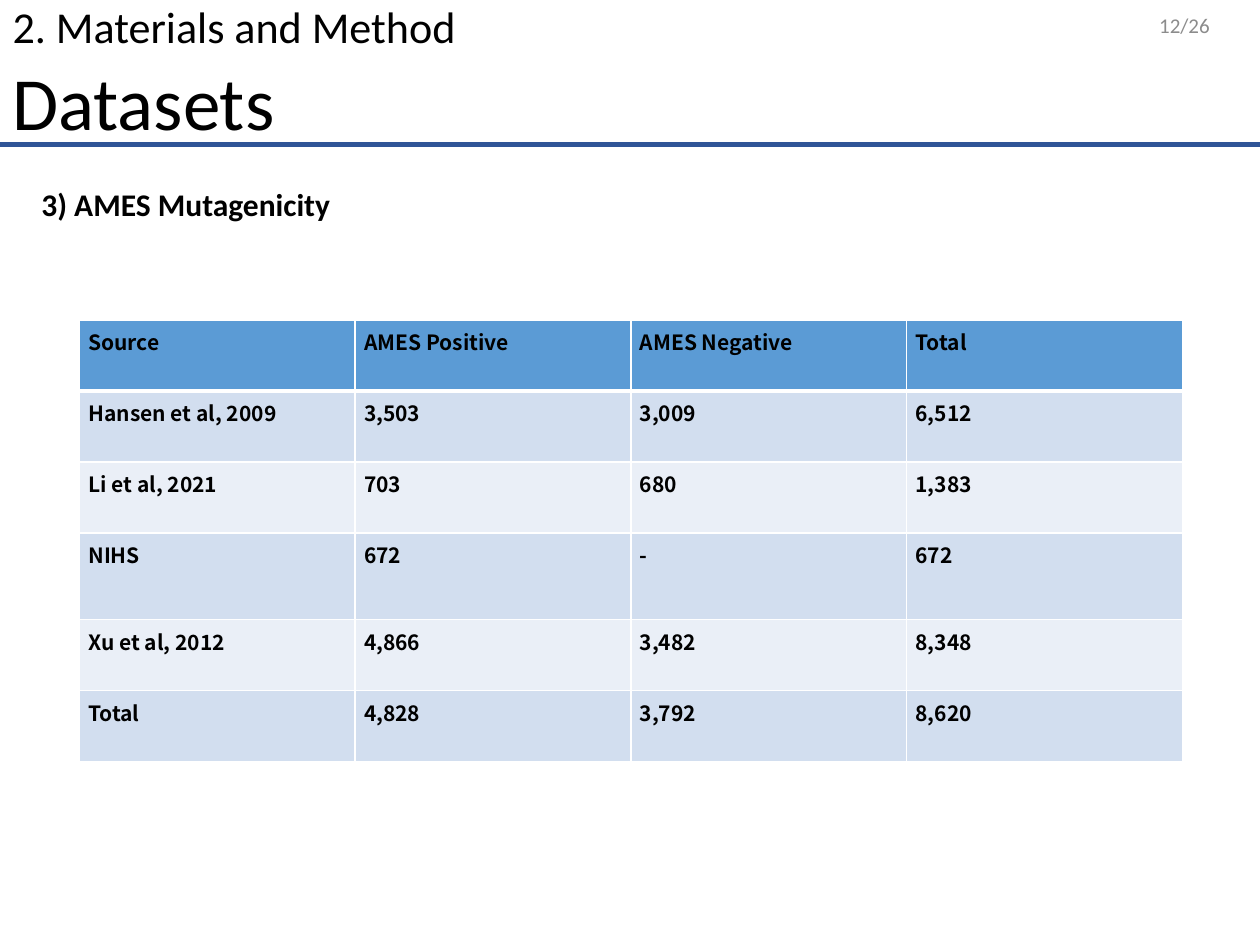
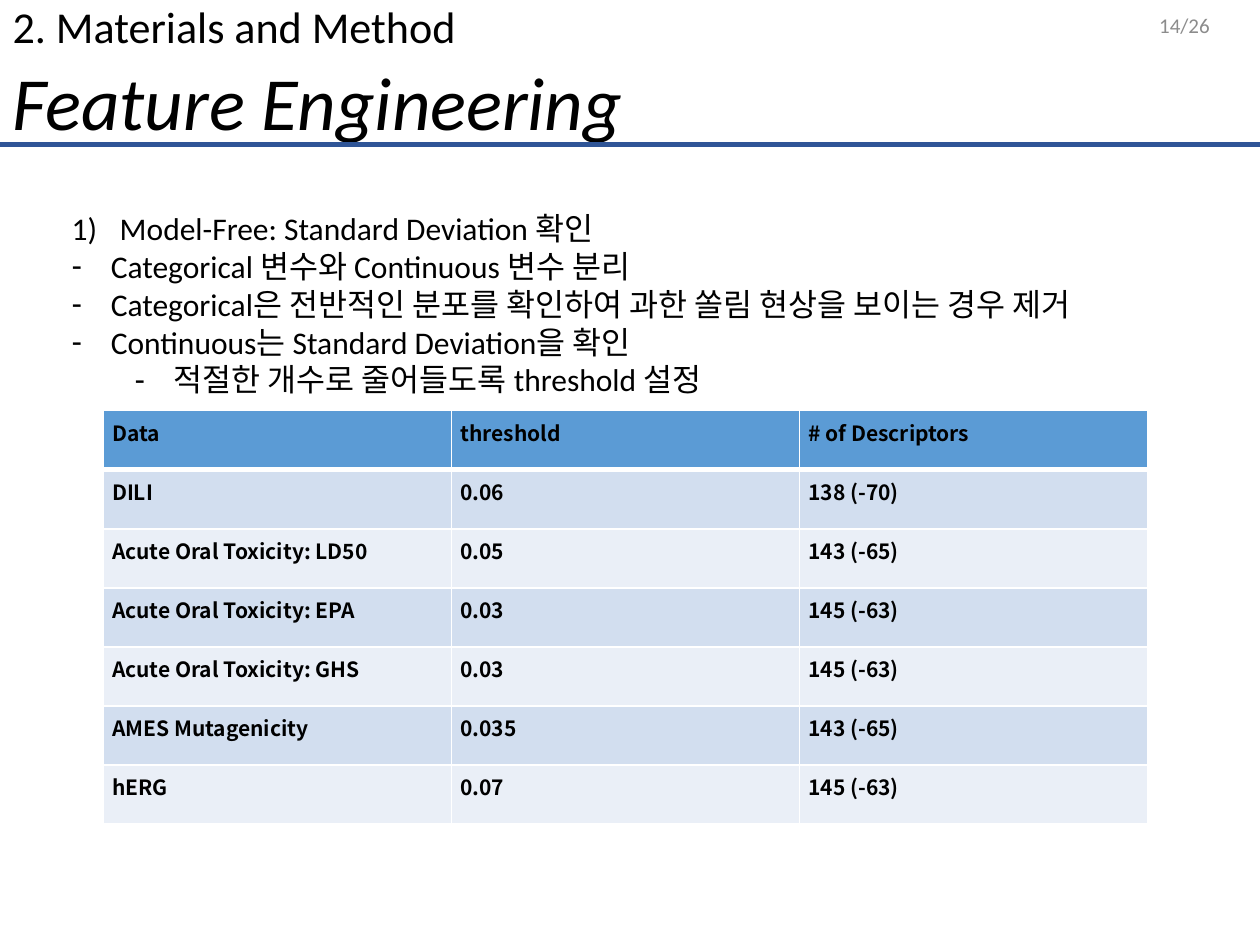
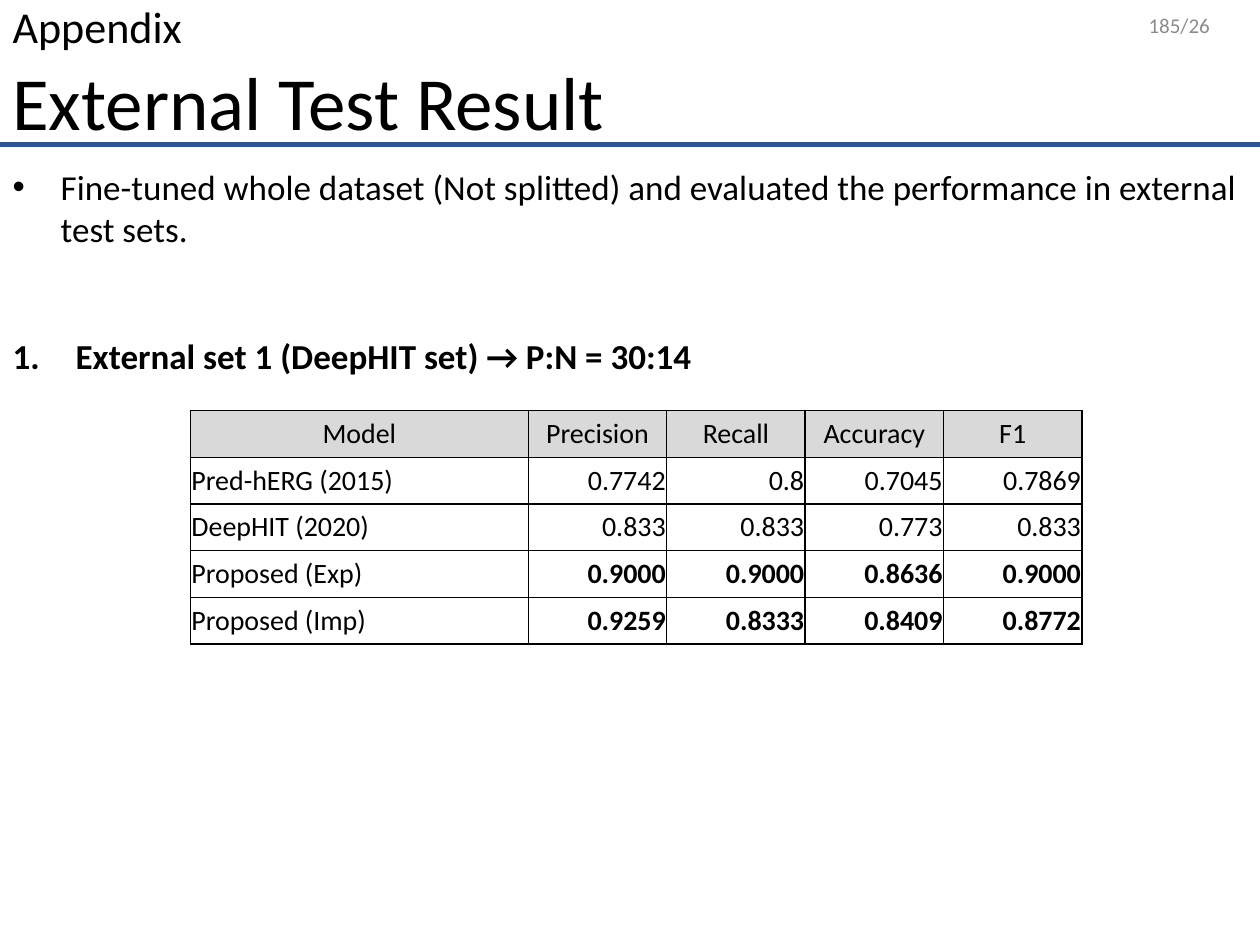
"""Build three slides on toxicity datasets, feature selection and external tests."""
from lxml import etree
from pptx import Presentation
from pptx import util as u
from pptx.dml.color import RGBColor
from pptx.enum import shapes, text
from pptx.oxml.ns import qn

LATIN, CJK = "Calibri", "Noto Sans CJK KR"
BLACK, GREY, NAVY, WHITE = "000000", "8C8C8C", "2F5597", "FFFFFF"
LEFT, CENTER, RIGHT = text.PP_ALIGN.LEFT, text.PP_ALIGN.CENTER, text.PP_ALIGN.RIGHT
TOP, MIDDLE = text.MSO_ANCHOR.TOP, text.MSO_ANCHOR.MIDDLE
WIDTH, HEIGHT = 25.4, 19.05
RULE_Y = 2.92

BULLETS = {
    "none": ("a:buNone", {}),
    "1)": ("a:buAutoNum", {"type": "arabicParenR"}),
    "1.": ("a:buAutoNum", {"type": "arabicPeriod"}),
    "-": ("a:buChar", {"char": "-"}),
    "•": ("a:buChar", {"char": "•"}),
}

BLUE_STYLE = dict(
    font=CJK, size=12, bold=True, anchor=TOP, insets=(0.18, 0.13), border=WHITE,
    header_rule=3, header="5B9BD5", bands=("D2DEEF", "EAEFF7"),
    header_align=LEFT, value_align=LEFT, bold_rows=())
GRID_STYLE = dict(
    font=LATIN, size=16, bold=False, anchor=MIDDLE, insets=(0.02, 0.02), border=BLACK,
    header_rule=1, header="D9D9D9", bands=(None,),
    header_align=CENTER, value_align=RIGHT, bold_rows=(3, 4))

PAGES = [
    dict(
        section="2. Materials and Method", heading="Datasets", italic=False, number="12/26",
        body=dict(at=(0.58, 3.61, 24.05, 1.8), size=18, items=[
            dict(text="3) AMES Mutagenicity", bullet="none", bold=True)]),
        table=dict(
            at=(1.6, 6.45), columns=[5.56] * 4,
            heights=[1.43, 1.43, 1.43, 1.75, 1.43, 1.43], style=BLUE_STYLE,
            rows=[
                ("Source", "AMES Positive", "AMES Negative", "Total"),
                ("Hansen et al, 2009", "3,503", "3,009", "6,512"),
                ("Li et al, 2021", "703", "680", "1,383"),
                ("NIHS", "672", "-", "672"),
                ("Xu et al, 2012", "4,866", "3,482", "8,348"),
                ("Total", "4,828", "3,792", "8,620")])),
    dict(
        section="2. Materials and Method", heading="Feature Engineering", italic=True,
        number="14/26",
        body=dict(at=(1.19, 4.09, 22.83, 4.88), size=18, items=[
            dict(text="Model-Free: Standard Deviation 확인", bullet="1)", hang=0.97),
            dict(text="Categorical 변수와 Continuous 변수 분리", bullet="-", hang=0.79),
            dict(text="Categorical은 전반적인 분포를 확인하여 과한 쏠림 현상을 보이는 경우 제거",
                 bullet="-", hang=0.79),
            dict(text="Continuous는 Standard Deviation을 확인", bullet="-", hang=0.79),
            dict(text="적절한 개수로 줄어들도록 threshold 설정", bullet="-", hang=0.79, level=1)]),
        table=dict(
            at=(2.08, 8.28), columns=[7.02] * 3, heights=[1.19] * 7, style=BLUE_STYLE,
            rows=[
                ("Data", "threshold", "# of Descriptors"),
                ("DILI", "0.06", "138 (-70)"),
                ("Acute Oral Toxicity: LD50", "0.05", "143 (-65)"),
                ("Acute Oral Toxicity: EPA", "0.03", "145 (-63)"),
                ("Acute Oral Toxicity: GHS", "0.03", "145 (-63)"),
                ("AMES Mutagenicity", "0.035", "143 (-65)"),
                ("hERG", "0.07", "145 (-63)")])),
    dict(
        section="Appendix", heading="External Test Result", italic=False, number="185/26",
        body=dict(at=(0, 3.2, WIDTH, 11.38), size=20, items=[
            dict(text="Fine-tuned whole dataset (Not splitted) and evaluated the performance "
                      "in external test sets.", bullet="•", hang=0.97),
            dict(text="External set 1 (DeepHIT set) → P:N = 30:14", bullet="1.", hang=1.27,
                 bold=True, before=48.8)]),
        table=dict(
            at=(3.84, 8.28), columns=[6.81] + [2.79] * 4, heights=[0.94] * 5, style=GRID_STYLE,
            rows=[
                ("Model", "Precision", "Recall", "Accuracy", "F1"),
                ("Pred-hERG (2015)", "0.7742", "0.8", "0.7045", "0.7869"),
                ("DeepHIT (2020)", "0.833", "0.833", "0.773", "0.833"),
                ("Proposed (Exp)", "0.9000", "0.9000", "0.8636", "0.9000"),
                ("Proposed (Imp)", "0.9259", "0.8333", "0.8409", "0.8772")])),
]


def color(value):
    return RGBColor.from_string(value)


def place(box, at):
    box.left, box.top, box.width, box.height = map(u.Cm, at)


def format_runs(para, size, font=LATIN, fill=BLACK, bold=False, italic=False):
    for span in para.runs:
        span.font.name, span.font.size = font, u.Pt(size)
        span.font.bold, span.font.italic = bold, italic
        span.font.color.rgb = color(fill)


def write_line(box, words, at, size, align=LEFT, spacing=None, **look):
    place(box, at)
    frame = box.text_frame
    frame.text = words
    frame.word_wrap, frame.auto_size = True, text.MSO_AUTO_SIZE.NONE
    frame.vertical_anchor = MIDDLE
    para = frame.paragraphs[0]
    para.alignment, para.line_spacing = align, spacing
    format_runs(para, size, **look)


def add_header(page, section, heading, italic, number):
    write_line(page.shapes.title, section, (0, 0, 10.19, 1.17), 25.2, spacing=0.9)
    labels = [
        (heading, (0, 1.17, 20.96, 1.93), 42.9, dict(spacing=0.9, italic=italic)),
        (number, (18.92, 0, 5.72, 1.02), 12, dict(align=RIGHT, fill=GREY)),
    ]
    for words, at, size, look in labels:
        write_line(page.shapes.add_textbox(0, 0, 0, 0), words, at, size, **look)
    rule = page.shapes.add_connector(
        shapes.MSO_CONNECTOR.STRAIGHT, 0, u.Cm(RULE_Y), u.Cm(WIDTH), u.Cm(RULE_Y))
    rule.line.color.rgb, rule.line.width = color(NAVY), u.Pt(3)
    etree.SubElement(rule._element.spPr, qn("a:effectLst"))


def set_bullet(para, bullet, hang, level):
    props = para._p.get_or_add_pPr()
    props.set("marL", str(u.Cm(hang + 1.27 * level)))
    props.set("indent", str(u.Cm(-hang)))
    tag, attributes = BULLETS[bullet]
    etree.SubElement(props, qn(tag), attributes)


def fill_body(box, at, size, items):
    place(box, at)
    frame = box.text_frame
    frame.text = "\n".join(item["text"] for item in items)
    frame.word_wrap, frame.auto_size = True, text.MSO_AUTO_SIZE.NONE
    frame.vertical_anchor = TOP
    for para, item in zip(frame.paragraphs, items):
        para.level = item.get("level", 0)
        set_bullet(para, item["bullet"], item.get("hang", 0), para.level)
        para.alignment = LEFT
        para.space_before = u.Pt(item.get("before", 0))
        format_runs(para, size, bold=item.get("bold", False))


def set_borders(cell, row, style):
    props = cell._tc.get_or_add_tcPr()
    for side in "LRTB":
        under_header = (row, side) in ((0, "B"), (1, "T"))
        points = style["header_rule"] if under_header else 1
        line = etree.SubElement(props, qn(f"a:ln{side}"), w=str(u.Pt(points)))
        solid = etree.SubElement(line, qn("a:solidFill"))
        etree.SubElement(solid, qn("a:srgbClr"), val=style["border"])


def format_cell(cell, row, column, style):
    set_borders(cell, row, style)
    bands = style["bands"]
    fill = bands[(row - 1) % len(bands)] if row else style["header"]
    if fill:
        cell.fill.solid()
        cell.fill.fore_color.rgb = color(fill)
    else:
        cell.fill.background()
    side, edge = map(u.Cm, style["insets"])
    cell.margin_left = cell.margin_right = side
    cell.margin_top = cell.margin_bottom = edge
    cell.vertical_anchor = style["anchor"]
    para = cell.text_frame.paragraphs[0]
    body_align = style["value_align"] if column else LEFT
    para.alignment = body_align if row else style["header_align"]
    bold = style["bold"] or (column > 0 and row in style["bold_rows"])
    format_runs(para, style["size"], style["font"], bold=bold)


def add_grid(page, at, columns, heights, style, rows):
    lengths = map(u.Cm, (*at, sum(columns), sum(heights)))
    table = page.shapes.add_table(len(rows), len(columns), *lengths).table
    for column, width in zip(table.columns, columns):
        column.width = u.Cm(width)
    for row, height in zip(table.rows, heights):
        row.height = u.Cm(height)
    for r, values in enumerate(rows):
        for c, value in enumerate(values):
            cell = table.cell(r, c)
            cell.text_frame.text = value
            format_cell(cell, r, c, style)


def main():
    deck = Presentation()
    deck.slide_width, deck.slide_height = u.Cm(WIDTH), u.Cm(HEIGHT)
    for content in PAGES:
        page = deck.slides.add_slide(deck.slide_layouts[1])
        add_header(page, content["section"], content["heading"],
                   content["italic"], content["number"])
        fill_body(page.placeholders[1], **content["body"])
        add_grid(page, **content["table"])
    deck.save("out.pptx")


if __name__ == "__main__":
    main()
